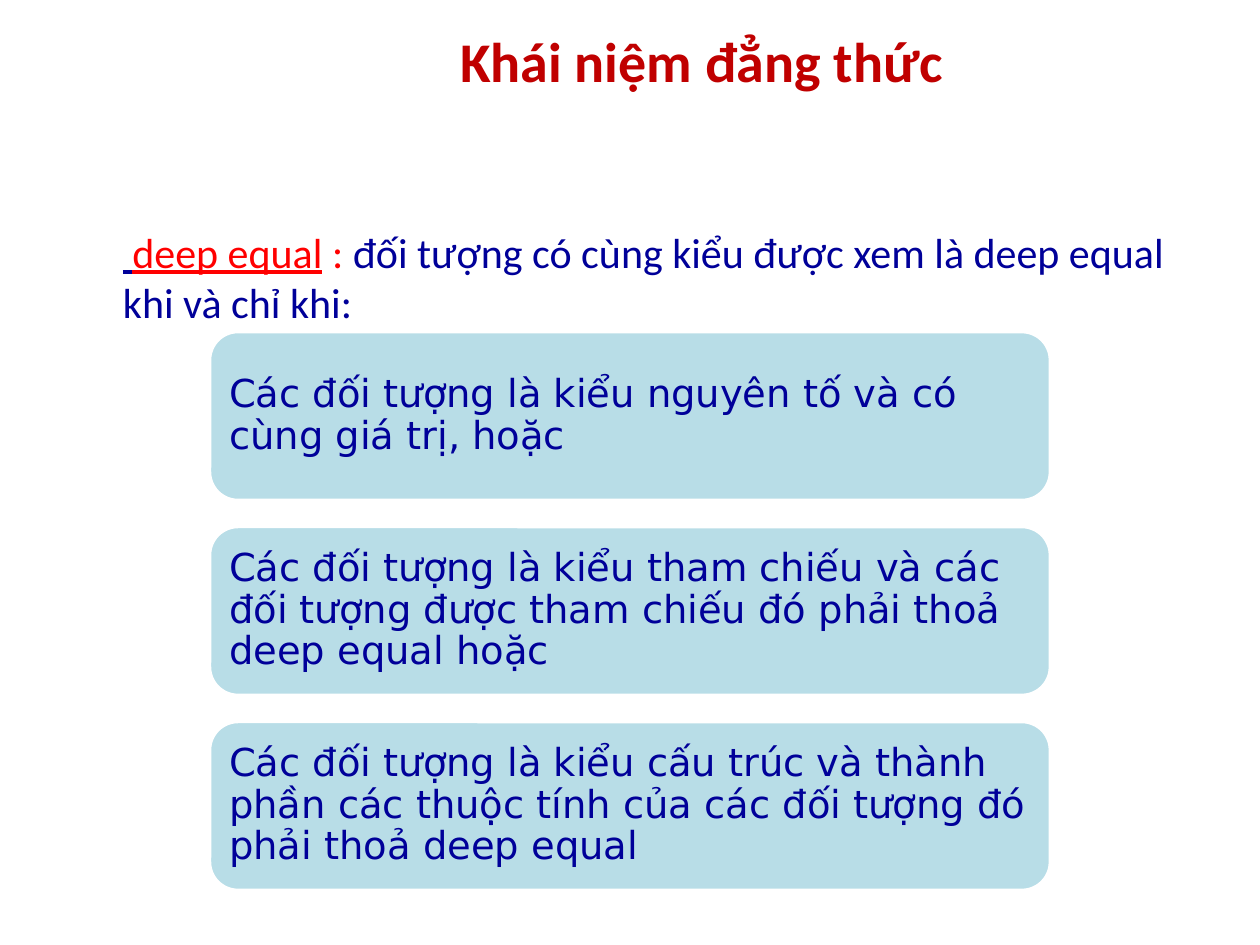
from pptx import Presentation
from pptx.dml.color import RGBColor
from pptx.enum.shapes import MSO_SHAPE
from pptx.enum.text import MSO_ANCHOR, PP_ALIGN
from pptx.util import Pt

ROUND = MSO_SHAPE.ROUNDED_RECTANGLE
TOP, MIDDLE = MSO_ANCHOR.TOP, MSO_ANCHOR.MIDDLE
LEFT, CENTER = PP_ALIGN.LEFT, PP_ALIGN.CENTER
PX = 914400 // 126
NAVY, RED, DARK, PALE, WHITE = "000099", "FF0000", "C00000", "B8DDE7", "FFFFFF"

TITLE = "Khái niệm đẳng thức"
INTRO = [
    (" ", NAVY, True),
    ("deep equal", RED, True),
    (" : ", RED, False),
    ("đối tượng có cùng kiểu được xem là deep equal khi và chỉ khi:", NAVY, False),
]
CASES = [
    "Các đối tượng là kiểu nguyên tố và có cùng giá trị, hoặc",
    "Các đối tượng là kiểu tham chiếu và các đối tượng được tham chiếu đó "
    "phải thoả deep equal hoặc",
    "Các đối tượng là kiểu cấu trúc và thành phần các thuộc tính của các "
    "đối tượng đó phải thoả deep equal",
]

TITLE_BOX = (220, 21, 964, 78)
INTRO_BOX = (110, 220, 1087, 110)
CASE_X, CASE_Y, CASE_W, CASE_H, STEP = 210, 332, 840, 168, 195
TITLE_FONT = {"name": "Calibri", "size": Pt(32), "bold": True}
INTRO_FONT = {"name": "Calibri", "size": Pt(24)}
CASE_FONT = {"name": "DejaVu Sans", "size": Pt(22)}


def color(code):
    return RGBColor.from_string(code)


def px(*nums):
    return [n * PX for n in nums]


def write(shape, runs, font, align=LEFT, anchor=MIDDLE, pad=(13, 6), space=1.0):
    """Fill one paragraph with (text, colour, underline) runs."""
    frame = shape.text_frame
    side, edge = px(*pad)
    form = {"word_wrap": True, "vertical_anchor": anchor,
            "margin_left": side, "margin_right": side,
            "margin_top": edge, "margin_bottom": edge}
    for key, val in form.items():
        setattr(frame, key, val)
    para = frame.paragraphs[0]
    para.alignment, para.line_spacing = align, space
    for text, tint, under in runs:
        run = para.add_run()
        run.text = text
        for key, val in {**font, "underline": under}.items():
            setattr(run.font, key, val)
        run.font.color.rgb = color(tint)


def add_case(slide, row, text):
    box = px(CASE_X, CASE_Y + row * STEP, CASE_W, CASE_H)
    card = slide.shapes.add_shape(ROUND, *box)
    card.shadow.inherit = False
    card.fill.solid()
    card.fill.fore_color.rgb = color(PALE)
    card.line.color.rgb = color(WHITE)
    card.line.width = Pt(1.5)
    write(card, [(text, NAVY, False)], CASE_FONT, pad=(11, 11), space=0.9)


def main():
    deck = Presentation()
    deck.slide_width, deck.slide_height = px(1260, 945)
    slide = deck.slides.add_slide(deck.slide_layouts[6])
    title = slide.shapes.add_textbox(*px(*TITLE_BOX))
    write(title, [(TITLE, DARK, False)], TITLE_FONT, CENTER)
    intro = slide.shapes.add_textbox(*px(*INTRO_BOX))
    write(intro, INTRO, INTRO_FONT, anchor=TOP)
    for row, text in enumerate(CASES):
        add_case(slide, row, text)
    deck.save("out.pptx")


if __name__ == "__main__":
    main()
